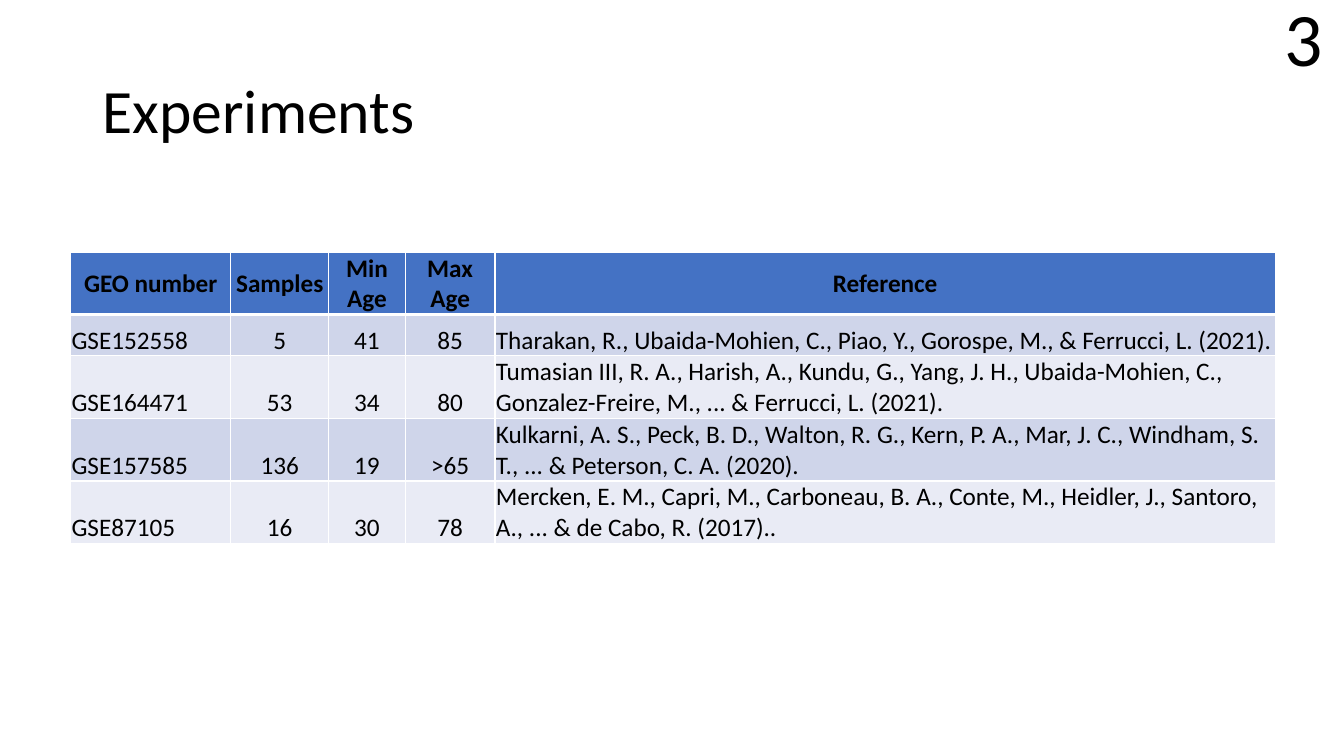
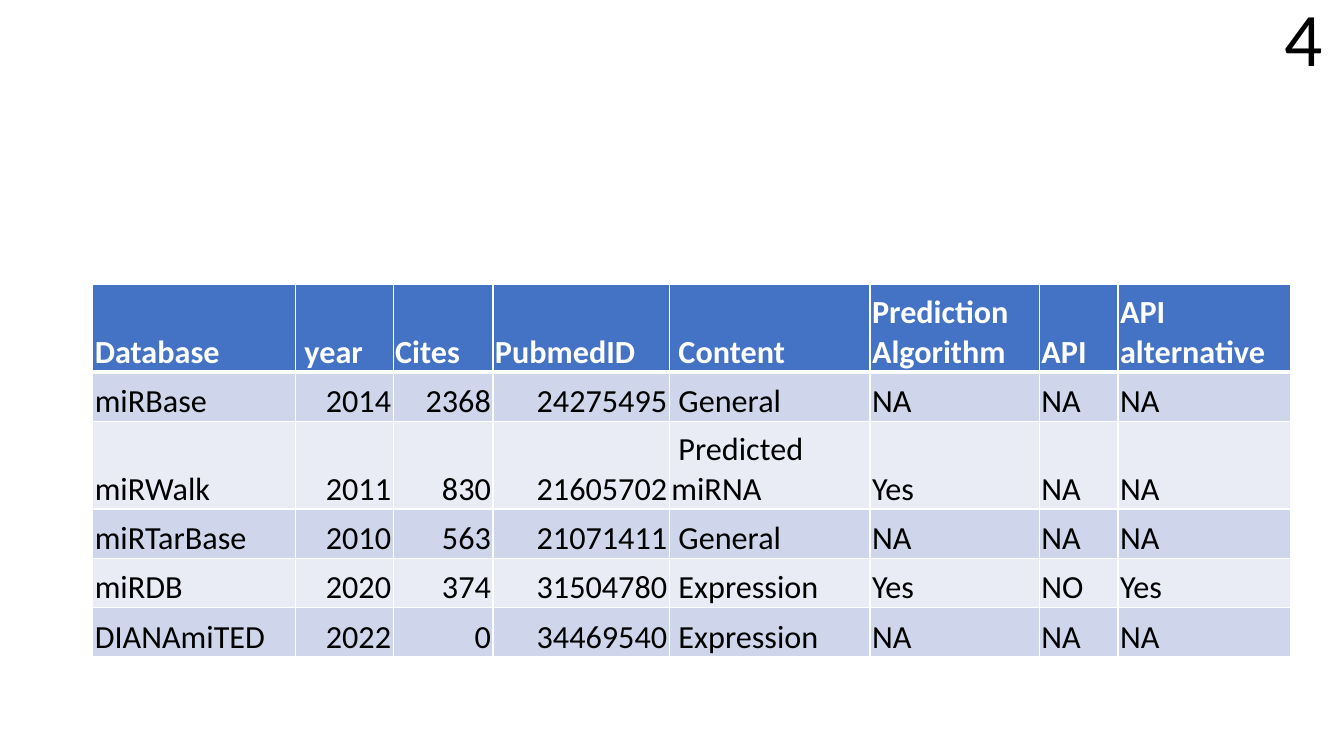
from lxml import etree
from pptx import Presentation
from pptx.dml.color import RGBColor
from pptx.enum.text import MSO_ANCHOR as ANCHOR, MSO_AUTO_SIZE as AUTO, PP_ALIGN as ALIGN
from pptx.oxml.ns import qn
from pptx.util import Inches, Pt

FONT = "Calibri"
BLACK = RGBColor(0x00, 0x00, 0x00)
WHITE = RGBColor(0xFF, 0xFF, 0xFF)
HEADER_BLUE = RGBColor(0x44, 0x72, 0xC4)
BANDS = (RGBColor(0xCF, 0xD5, 0xEA), RGBColor(0xE9, 0xEB, 0xF5))
ALIGNMENTS = {"l": ALIGN.LEFT, "c": ALIGN.CENTER, "r": ALIGN.RIGHT}
TITLE_ONLY, BLANK = 5, 6

EXPERIMENTS = [
    ("GEO number", "Samples", "Min Age", "Max Age", "Reference"),
    ("GSE152558", "5", "41", "85",
     "Tharakan, R., Ubaida-Mohien, C., Piao, Y., Gorospe, M., & Ferrucci, L. (2021)."),
    ("GSE164471", "53", "34", "80",
     "Tumasian III, R. A., Harish, A., Kundu, G., Yang, J. H., Ubaida-Mohien, C., "
     "Gonzalez-Freire, M., ... & Ferrucci, L. (2021)."),
    ("GSE157585", "136", "19", ">65",
     "Kulkarni, A. S., Peck, B. D., Walton, R. G., Kern, P. A., Mar, J. C., "
     "Windham, S. T., ... & Peterson, C. A. (2020)."),
    ("GSE87105", "16", "30", "78",
     "Mercken, E. M., Capri, M., Carboneau, B. A., Conte, M., Heidler, J., "
     "Santoro, A., ... & de Cabo, R. (2017).."),
]

DATABASES = [
    ("Database", "year", "Cites", "PubmedID", "Content",
     "Prediction Algorithm", "API", "API alternative"),
    ("miRBase", "2014", "2368", "24275495", "General", "NA", "NA", "NA"),
    ("miRWalk", "2011", "830", "21605702", "Predicted miRNA", "Yes", "NA", "NA"),
    ("miRTarBase", "2010", "563", "21071411", "General", "NA", "NA", "NA"),
    ("miRDB", "2020", "374", "31504780", "Expression", "Yes", "NO", "Yes"),
    ("DIANAmiTED", "2022", "0", "34469540", "Expression", "NA", "NA", "NA"),
]


def style(p, size, color=BLACK, bold=False, align=ALIGN.LEFT):
    p.alignment = align
    p.font.name = FONT
    p.font.size = Pt(size)
    p.font.bold = bold
    p.font.color.rgb = color


def add_title(slide, text, left, top, width, height):
    sp = slide.shapes.title
    sp.left, sp.top = Inches(left), Inches(top)
    sp.width, sp.height = Inches(width), Inches(height)
    tf = sp.text_frame
    tf.text = text
    tf.vertical_anchor = ANCHOR.MIDDLE
    p = tf.paragraphs[0]
    p.line_spacing = 0.9
    style(p, 44)


def add_page_number(slide, number):
    sp = slide.shapes.add_textbox(Inches(12.63), Inches(-0.14), Inches(0.59), Inches(1.01))
    tf = sp.text_frame
    tf.word_wrap = False
    tf.auto_size = AUTO.SHAPE_TO_FIT_TEXT
    p = tf.paragraphs[0]
    p.text = str(number)
    style(p, 54, align=ALIGN.CENTER)


def set_borders(cell, top, bottom):
    """White cell borders; widths in points, sides always 1."""
    tc_pr = cell._tc.get_or_add_tcPr()
    for tag, width in (("a:lnL", 1), ("a:lnR", 1), ("a:lnT", top), ("a:lnB", bottom)):
        ln = etree.SubElement(tc_pr, qn(tag), w=str(Pt(width)))
        fill = etree.SubElement(ln, qn("a:solidFill"))
        etree.SubElement(fill, qn("a:srgbClr"), val=str(WHITE))


def add_banded_table(slide, left, top, col_widths, row_heights, data, size, margin,
                     body_align, header_align="l", header_color=WHITE,
                     header_anchor=ANCHOR.BOTTOM, indented=()):
    """Table with a blue header; indented(row kind, column) pairs get a first-line indent."""
    table = slide.shapes.add_table(
        len(data), len(col_widths), Inches(left), Inches(top),
        Inches(sum(col_widths)), Inches(sum(row_heights))).table
    for column, width in zip(table.columns, col_widths):
        column.width = Inches(width)
    for row, height in zip(table.rows, row_heights):
        row.height = Inches(height)

    for r, values in enumerate(data):
        header = r == 0
        for c, value in enumerate(values):
            cell = table.cell(r, c)
            set_borders(cell, 3 if r == 1 else 1, 3 if header else 1)
            cell.fill.solid()
            cell.fill.fore_color.rgb = HEADER_BLUE if header else BANDS[(r - 1) % 2]
            cell.margin_left = cell.margin_right = cell.margin_top = Inches(margin)
            cell.margin_bottom = 0
            cell.vertical_anchor = header_anchor if header else ANCHOR.BOTTOM
            p = cell.text_frame.paragraphs[0]
            p.text = value
            if ("header" if header else "body", c) in indented:
                p._p.get_or_add_pPr().set("indent", str(Inches(0.07)))
            style(p, size, header_color if header else BLACK, header,
                  ALIGNMENTS[header_align if header else body_align[c]])


def experiments_slide(prs, number):
    s = prs.slides.add_slide(prs.slide_layouts[TITLE_ONLY])
    add_title(s, "Experiments", 0.92, 0.4, 11.5, 1.45)
    add_banded_table(
        s, 0.7, 2.5, [1.59, 0.97, 0.76, 0.89, 7.74], [0.62, 0.41, 0.62, 0.62, 0.62],
        EXPERIMENTS, 18, 0.01, "lcccl", header_align="c", header_color=BLACK,
        header_anchor=ANCHOR.MIDDLE)
    add_page_number(s, number)


def databases_slide(prs, number):
    s = prs.slides.add_slide(prs.slide_layouts[BLANK])
    add_banded_table(
        s, 0.92, 2.82, [2.01, 0.97, 0.99, 1.75, 1.99, 1.68, 0.78, 1.71],
        [0.87, 0.49, 0.87, 0.49, 0.49, 0.49], DATABASES, 23, 0.02, "lrrrllll",
        indented={("header", 1), ("header", 4), ("body", 4)})
    add_page_number(s, number)


def main():
    prs = Presentation()
    prs.slide_width, prs.slide_height = Inches(13.33), Inches(7.5)
    for number, build in enumerate((experiments_slide, databases_slide), start=3):
        build(prs, number)
    prs.save("out.pptx")


if __name__ == "__main__":
    main()
